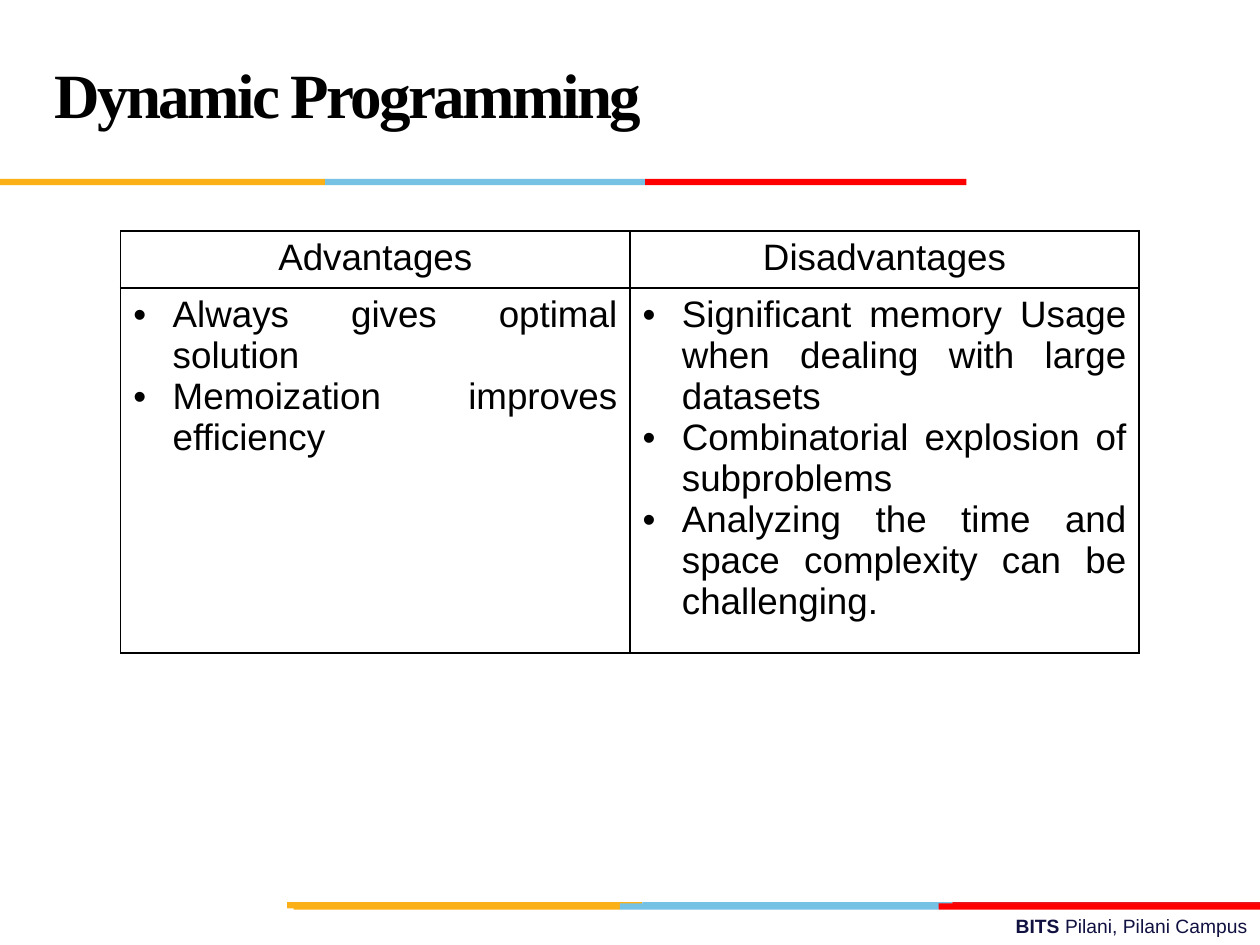
from dataclasses import dataclass

from lxml import etree
from pptx import Presentation
from pptx.dml.color import RGBColor
from pptx.enum.shapes import MSO_SHAPE
from pptx.enum.text import MSO_ANCHOR, MSO_AUTO_SIZE, PP_ALIGN
from pptx.oxml.ns import qn
from pptx.util import Pt

RECTANGLE = MSO_SHAPE.RECTANGLE
MIDDLE = MSO_ANCHOR.MIDDLE
NO_AUTOFIT = MSO_AUTO_SIZE.NONE
CENTER, JUSTIFY, RIGHT = PP_ALIGN.CENTER, PP_ALIGN.JUSTIFY, PP_ALIGN.RIGHT
TITLE_ONLY = 5


@dataclass(frozen=True)
class Theme:
    ink: str = "000000"
    paper: str = "FFFFFF"
    navy: str = "101141"
    gold: str = "FCB017"
    sky: str = "76C2E5"
    crimson: str = "E31C24"
    red: str = "FF0000"
    title_font: str = "Times New Roman"
    body_font: str = "Arial"
    title_size: float = 36
    table_size: float = 21
    footer_size: float = 11


@dataclass(frozen=True)
class Band:
    top: float
    edges: tuple[float, ...]
    colors: tuple[str, ...]


@dataclass(frozen=True)
class Column:
    heading: str
    points: tuple[str, ...]


THEME = Theme()
BAND_HEIGHT = 3.6
BULLET_INDENT = 22.5
STRIPES = (THEME.gold, THEME.sky, THEME.red)
BANDS = (
    Band(515.5, (164, 367, 544.3, 720), (THEME.gold, THEME.sky, THEME.crimson)),
    Band(516.2, (167.8, 354.2, 536.4, 720), STRIPES),
    Band(102.2, (0, 185.8, 368.6, 552.2), STRIPES),
)
COLUMNS = (
    Column("Advantages", (
        "Always gives optimal solution",
        "Memoization improves efficiency",
    )),
    Column("Disadvantages", (
        "Significant memory Usage when dealing with large datasets",
        "Combinatorial explosion of subproblems",
        "Analyzing the time and space complexity can be challenging.",
    )),
)


def write(p, text: str, *, size: float, font: str = THEME.body_font,
          color: str = THEME.ink, bold: bool = False, align=None,
          bullet: bool = False, tracking: float = 0) -> None:
    if align is not None:
        p.alignment = align
    if bullet:
        pPr = p._p.get_or_add_pPr()
        pPr.set("marL", str(Pt(BULLET_INDENT)))
        pPr.set("indent", str(-Pt(BULLET_INDENT)))
        etree.SubElement(pPr, qn("a:buFont")).set("typeface", THEME.body_font)
        etree.SubElement(pPr, qn("a:buChar")).set("char", "•")
    r = p.add_run()
    r.text = text
    r.font.size = Pt(size)
    r.font.name = font
    r.font.bold = bold
    r.font.color.rgb = RGBColor.from_string(color)
    if tracking:
        r._r.get_or_add_rPr().set("spc", str(round(tracking * 100)))


def draw_band(s, band: Band) -> None:
    for left, right, color in zip(band.edges, band.edges[1:], band.colors):
        sp = s.shapes.add_shape(RECTANGLE, Pt(left), Pt(band.top),
                                Pt(right - left), Pt(BAND_HEIGHT))
        sp.shadow.inherit = False
        sp.fill.solid()
        sp.fill.fore_color.rgb = RGBColor.from_string(color)
        sp.line.fill.background()


def format_cell(cell) -> None:
    tcPr = cell._tc.get_or_add_tcPr()
    for side in ("lnL", "lnR", "lnT", "lnB"):
        ln = etree.SubElement(tcPr, qn(f"a:{side}"), w=str(Pt(1)))
        fill = etree.SubElement(ln, qn("a:solidFill"))
        etree.SubElement(fill, qn("a:srgbClr"), val=THEME.ink)
    cell.fill.solid()
    cell.fill.fore_color.rgb = RGBColor.from_string(THEME.paper)


def draw_table(s, columns: tuple[Column, ...]) -> None:
    table = s.shapes.add_table(2, len(columns), Pt(69), Pt(132),
                               Pt(582), Pt(225)).table
    table.first_row = False
    table.horz_banding = False
    table.rows[0].height = Pt(30.3)
    table.rows[1].height = Pt(194.7)
    for i, column in enumerate(columns):
        heading, body = table.cell(0, i), table.cell(1, i)
        format_cell(heading)
        format_cell(body)
        write(heading.text_frame.paragraphs[0], column.heading,
              size=THEME.table_size, align=CENTER)
        tf = body.text_frame
        for j, point in enumerate(column.points):
            p = tf.add_paragraph() if j else tf.paragraphs[0]
            write(p, point, size=THEME.table_size, align=JUSTIFY, bullet=True)


def draw_title(s, text: str) -> None:
    title = s.shapes.title
    title.left, title.top = Pt(24), Pt(12)
    title.width, title.height = Pt(498), Pt(90)
    tf = title.text_frame
    tf.auto_size = NO_AUTOFIT
    tf.vertical_anchor = MIDDLE
    p = tf.paragraphs[0]
    p.line_spacing = Pt(36)
    write(p, text, size=THEME.title_size, font=THEME.title_font, bold=True,
          align=JUSTIFY, tracking=-1.5)


def draw_footer(s) -> None:
    tf = s.shapes.add_textbox(Pt(258), Pt(519), Pt(462), Pt(21)).text_frame
    tf.word_wrap = True
    p = tf.paragraphs[0]
    write(p, "BITS ", size=THEME.footer_size, color=THEME.navy, bold=True,
          align=RIGHT)
    write(p, "Pilani, Pilani Campus", size=THEME.footer_size, color=THEME.navy)


def main() -> None:
    prs = Presentation()
    prs.slide_width, prs.slide_height = Pt(720), Pt(540)
    s = prs.slides.add_slide(prs.slide_layouts[TITLE_ONLY])
    draw_footer(s)
    for band in BANDS:
        draw_band(s, band)
    draw_title(s, "Dynamic Programming")
    draw_table(s, COLUMNS)
    prs.save("out.pptx")


if __name__ == "__main__":
    main()
